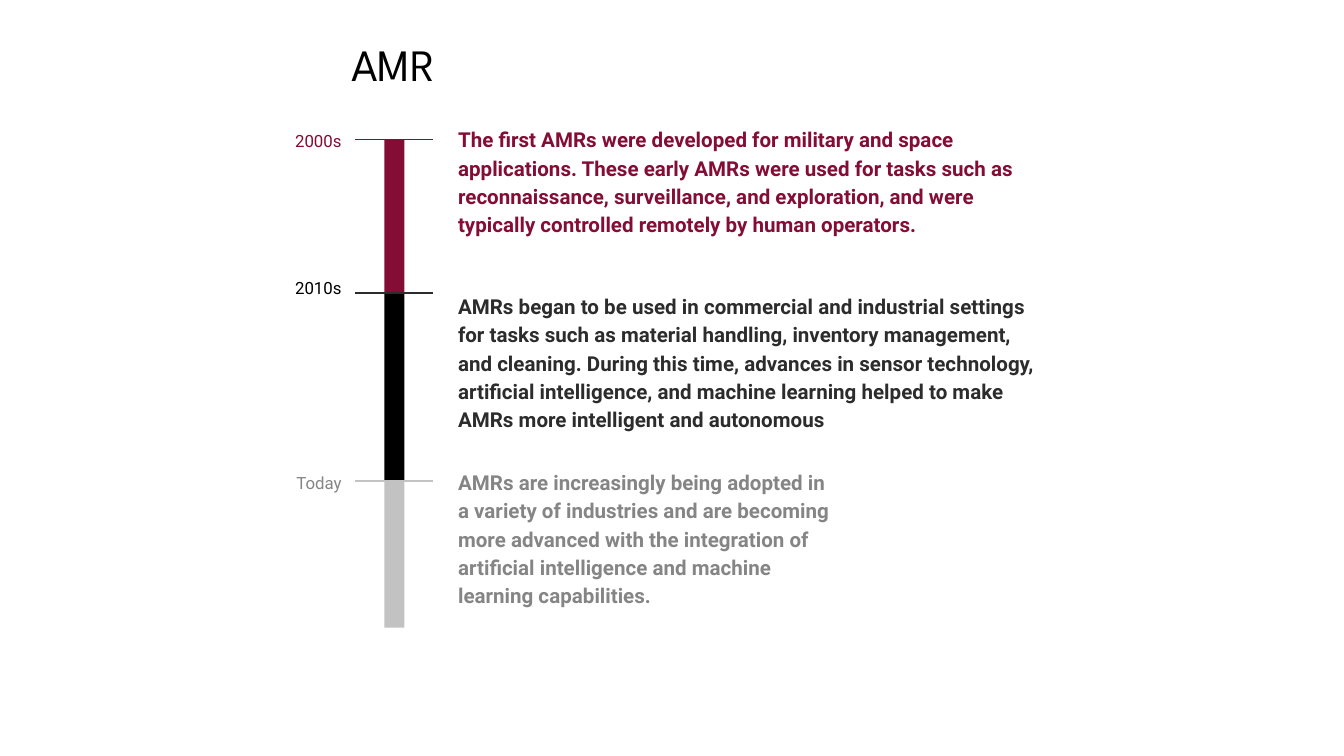
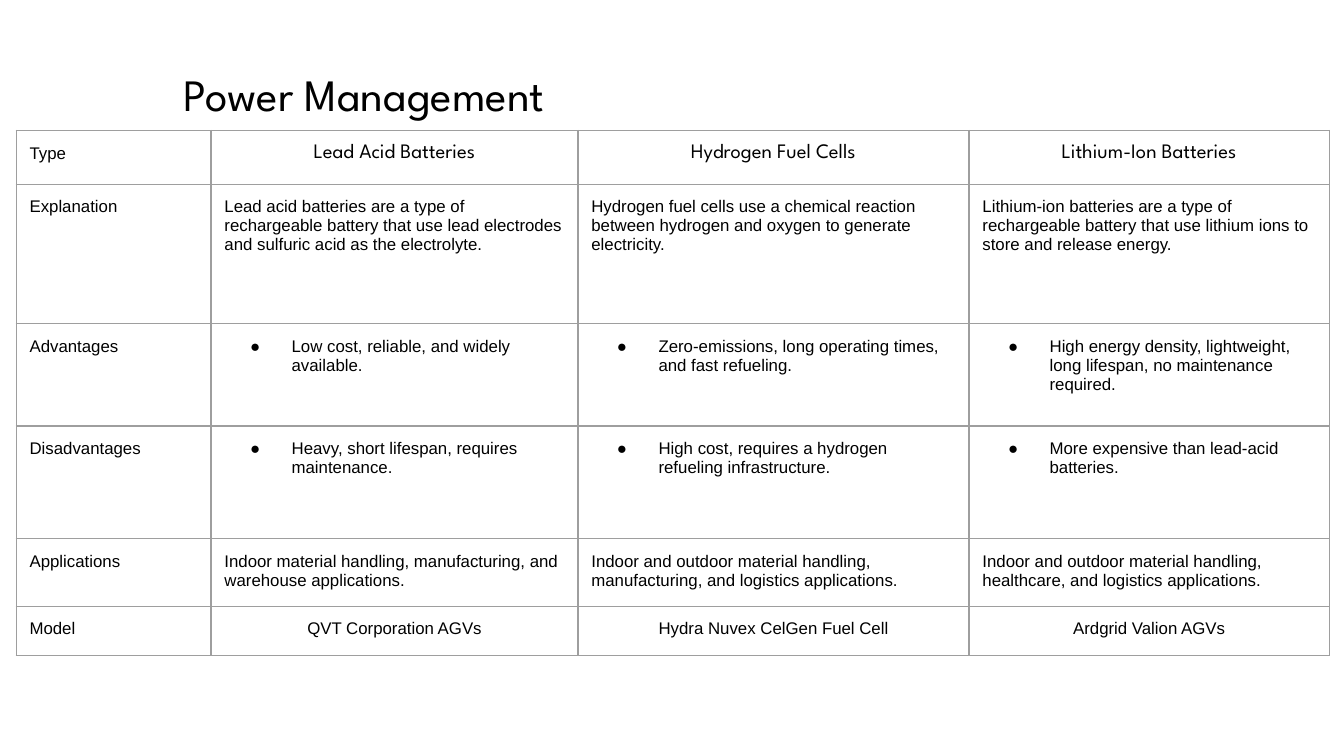
from lxml import etree
from pptx import Presentation
from pptx import util as u
from pptx.dml.color import RGBColor
from pptx.enum import shapes, text
from pptx.oxml import ns

COLORS = {"black": "000000", "wine": "840D35", "ink": "2C2C2C",
          "silver": "C2C2C2", "gray": "858585", "rule": "9E9E9E"}
WIDTH = 10
HEIGHT = WIDTH * 9 / 16
INSET = 0.1
TITLE = dict(font="League Spartan", size=24, anchor=text.MSO_ANCHOR.MIDDLE)
LEFT, CENTER, RIGHT = text.PP_ALIGN.LEFT, text.PP_ALIGN.CENTER, text.PP_ALIGN.RIGHT

# Timeline: label, label top, label height, bar / tick / label / story colours,
# story top, story width, story height, story
ERAS = [
    ("2000s", 0.86, 0.4, ("wine", "wine", "wine", "wine"), 0.82, 4.58, 1.16,
     "The first AMRs were developed for military and space applications. "
     "These early AMRs were used for tasks such as reconnaissance, surveillance, "
     "and exploration, and were typically controlled remotely by human operators."),
    ("2010s", 1.96, 0.49, ("black", "ink", "black", "ink"), 2.06, 4.54, 1.31,
     "AMRs began to be used in commercial and industrial settings for tasks such as "
     "material handling, inventory management, and cleaning. During this time, advances "
     "in sensor technology, artificial intelligence, and machine learning helped to make "
     "AMRs more intelligent and autonomous"),
    ("Today", 3.41, 0.38, ("silver", "silver", "gray", "gray"), 3.37, 2.98, 0.3,
     "AMRs are increasingly being adopted in a variety of industries and are becoming "
     "more advanced with the integration of artificial intelligence and machine learning "
     "capabilities."),
]
ERA_EDGES = [1.04, 2.18, 3.58, 4.67]
BAR_LEFT, BAR_WIDTH = 2.86, 0.15
TICK_LEFT, TICK_RIGHT = 2.64, 3.22
LABEL_WIDTH, STORY_LEFT = 0.93, 3.31

# Battery table: row height, cell style, cells
HEAD = dict(font="League Spartan", size=11, align=CENTER)
PLAIN = dict(size=9)
BULLET = dict(size=9, bullet="●")
MIDDLE = dict(size=9, align=CENTER)
BATTERIES = [
    (0.4, HEAD, ["Type", "Lead Acid Batteries", "Hydrogen Fuel Cells",
                 "Lithium-Ion Batteries"]),
    (1.04, PLAIN, ["Explanation",
                   "Lead acid batteries are a type of rechargeable battery that use lead "
                   "electrodes and sulfuric acid as the electrolyte.",
                   "Hydrogen fuel cells use a chemical reaction between hydrogen and oxygen "
                   "to generate electricity.",
                   "Lithium-ion batteries are a type of rechargeable battery that use "
                   "lithium ions to store and release energy."]),
    (0.76, BULLET, ["Advantages",
                    "Low cost, reliable, and widely available.",
                    "Zero-emissions, long operating times, and fast refueling.",
                    "High energy density, lightweight, long lifespan, no maintenance "
                    "required."]),
    (0.84, BULLET, ["Disadvantages",
                    "Heavy, short lifespan, requires maintenance.",
                    "High cost, requires a hydrogen refueling infrastructure.",
                    "More expensive than lead-acid batteries."]),
    (0.44, PLAIN, ["Applications",
                   "Indoor material handling, manufacturing, and warehouse applications.",
                   "Indoor and outdoor material handling, manufacturing, and logistics "
                   "applications.",
                   "Indoor and outdoor material handling, healthcare, and logistics "
                   "applications."]),
    (0.37, MIDDLE, ["Model", "QVT Corporation AGVs", "Hydra Nuvex CelGen Fuel Cell",
                    "Ardgrid Valion AGVs"]),
]
COLUMNS = [1.45, 2.73, 2.91, 2.68]
TABLE_LEFT, TABLE_TOP = 0.12, 0.97


def rgb(name):
    return RGBColor.from_string(COLORS[name])


def inches(*lengths):
    return [u.Inches(length) for length in lengths]


def write(frame, words, font="Arial", size=9, color="black", bold=False,
          align=LEFT, spacing=None, bullet=None):
    """Put one formatted paragraph into a text frame."""
    para = frame.paragraphs[0]
    para.alignment = align
    if spacing:
        para.line_spacing = spacing
    if bullet:
        props = para._p.get_or_add_pPr()
        props.set("marL", str(u.Inches(0.5)))
        props.set("indent", str(u.Inches(-0.31)))
        tint = etree.SubElement(props, ns.qn("a:buClr"))
        etree.SubElement(tint, ns.qn("a:srgbClr"), val=COLORS[color])
        etree.SubElement(props, ns.qn("a:buSzPts"), val=str(size * 100))
        etree.SubElement(props, ns.qn("a:buFont"), typeface=font)
        etree.SubElement(props, ns.qn("a:buChar"), char=bullet)
    span = para.add_run()
    span.text = words
    span.font.name, span.font.size, span.font.bold = font, u.Pt(size), bold
    span.font.color.rgb = rgb(color)


def add_text(parent, words, left, top, width, height, anchor=text.MSO_ANCHOR.TOP, **style):
    box = parent.shapes.add_textbox(*inches(left, top, width, height))
    frame = box.text_frame
    frame.word_wrap = True
    frame.vertical_anchor = anchor
    frame.margin_left = frame.margin_right = u.Inches(INSET)
    frame.margin_top = frame.margin_bottom = u.Inches(INSET)
    write(frame, words, **style)


def add_bar(parent, left, top, width, height, color):
    bar = parent.shapes.add_shape(shapes.MSO_SHAPE.RECTANGLE,
                                  *inches(left, top, width, height))
    bar.shadow.inherit = False
    bar.fill.solid()
    bar.fill.fore_color.rgb = rgb(color)
    bar.line.fill.background()


def add_tick(parent, y, color):
    tick = parent.shapes.add_connector(shapes.MSO_CONNECTOR.STRAIGHT,
                                       *inches(TICK_RIGHT, y, TICK_LEFT, y))
    tick.line.color.rgb = rgb(color)
    tick.line.width = u.Pt(0.75)
    etree.SubElement(tick._element.spPr, ns.qn("a:effectLst"))


def set_borders(cell, color):
    props = cell._tc.get_or_add_tcPr()
    for index, side in enumerate(("lnL", "lnR", "lnT", "lnB")):
        line = etree.Element(ns.qn(f"a:{side}"), w=str(u.Pt(0.75)))
        fill = etree.SubElement(line, ns.qn("a:solidFill"))
        etree.SubElement(fill, ns.qn("a:srgbClr"), val=COLORS[color])
        props.insert(index, line)


def build_timeline(page):
    add_text(page, "AMR", 1.91, 0.12, 2.03, 0.7, align=CENTER, **TITLE)
    for era, top, bottom in zip(ERAS, ERA_EDGES, ERA_EDGES[1:]):
        label, label_top, label_height, colors, story_top, width, height, story = era
        bar_color, tick_color, label_color, story_color = colors
        group = page.shapes.add_group_shape()
        add_bar(group, BAR_LEFT, top, BAR_WIDTH, bottom - top, bar_color)
        add_tick(group, top, tick_color)
        add_text(group, story, STORY_LEFT, story_top, width, height, font="Roboto",
                 size=11, bold=True, color=story_color, spacing=1.15)
        add_text(group, label, TICK_LEFT - LABEL_WIDTH, label_top, LABEL_WIDTH,
                 label_height, font="Roboto", color=label_color, align=RIGHT, spacing=1.15)


def build_battery_table(page):
    add_text(page, "Power Management", 1.27, 0.3, 5.52, 0.79, **TITLE)
    heights = [row[0] for row in BATTERIES]
    table = page.shapes.add_table(
        len(BATTERIES), len(COLUMNS),
        *inches(TABLE_LEFT, TABLE_TOP, sum(COLUMNS), sum(heights))).table
    table.first_row = table.horz_banding = False
    for column, width in zip(table.columns, COLUMNS):
        column.width = u.Inches(width)
    for row, (height, style, words) in zip(table.rows, BATTERIES):
        row.height = u.Inches(height)
        for index, (cell, entry) in enumerate(zip(row.cells, words)):
            cell.margin_left = cell.margin_right = u.Inches(INSET)
            cell.margin_top = cell.margin_bottom = u.Inches(INSET)
            cell.fill.background()
            set_borders(cell, "rule")
            write(cell.text_frame, entry, **(style if index else PLAIN))


def main():
    deck = Presentation()
    deck.slide_width, deck.slide_height = inches(WIDTH, HEIGHT)
    for build in (build_timeline, build_battery_table):
        build(deck.slides.add_slide(deck.slide_layouts[6]))
    deck.save("out.pptx")


if __name__ == "__main__":
    main()
